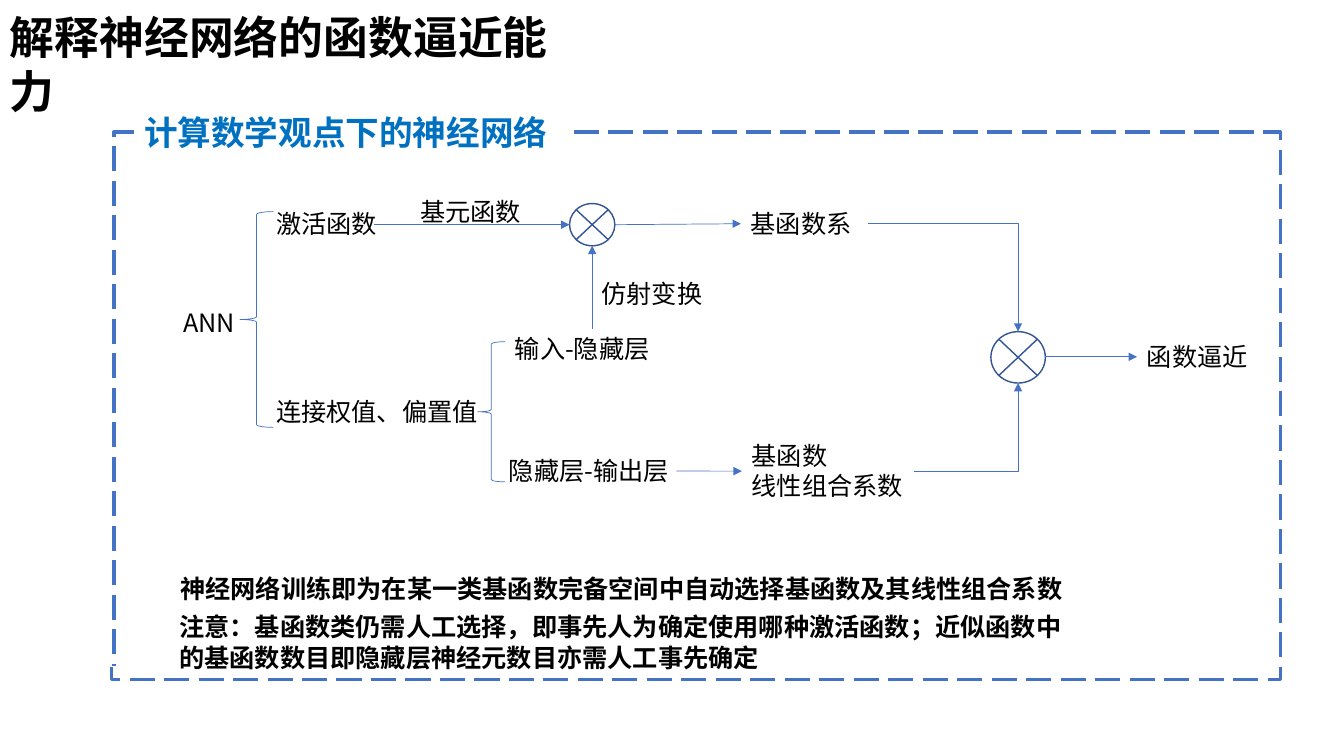
"""Build the slide on how neural networks approximate functions."""
from dataclasses import dataclass

from lxml.etree import SubElement
from pptx import Presentation
from pptx.dml.color import RGBColor
from pptx.enum.dml import MSO_LINE_DASH_STYLE as Dash
from pptx.enum.shapes import MSO_CONNECTOR as Connector
from pptx.enum.shapes import MSO_SHAPE as Preset
from pptx.enum.text import MSO_AUTO_SIZE as AutoSize
from pptx.oxml.ns import qn
from pptx.util import Pt


@dataclass(frozen=True)
class Theme:
    font: str = "Noto Sans CJK SC"
    black: RGBColor = RGBColor(0, 0, 0)
    heading: RGBColor = RGBColor(0x00, 0x70, 0xC0)
    line: RGBColor = RGBColor(0x44, 0x72, 0xC4)
    junction: RGBColor = RGBColor(0x32, 0x54, 0x91)
    title_size: int = 32
    heading_size: int = 24
    body_size: int = 18
    thin: float = 0.5
    medium: float = 1
    thick: float = 2.25


THEME = Theme()
LABEL_HEIGHT = 28.8
TWO_LINES = 51.1
FOUR_CHARACTERS = 90.7


def add_text(slide, text, left, top, width, height=LABEL_HEIGHT,
             size=THEME.body_size, color=THEME.black, bold=False):
    box = slide.shapes.add_textbox(Pt(left), Pt(top), Pt(width), Pt(height))
    frame = box.text_frame
    frame.word_wrap = True
    frame.auto_size = AutoSize.SHAPE_TO_FIT_TEXT
    frame.text = text
    for paragraph in frame.paragraphs:
        for run in paragraph.runs:
            run.font.name = THEME.font
            run.font.size = Pt(size)
            run.font.bold = bold
            run.font.color.rgb = color
            properties = run.font._element
            SubElement(properties, qn("a:ea"), typeface=THEME.font)
    return box


def style_outline(shape, color, width):
    shape.shadow.inherit = False
    shape.fill.background()
    shape.line.color.rgb = color
    shape.line.width = Pt(width)


def add_outline_shape(slide, preset, left, top, width, height, color, weight):
    shape = slide.shapes.add_shape(preset, Pt(left), Pt(top), Pt(width), Pt(height))
    style_outline(shape, color, weight)


def add_junction(slide, left, top, width, height):
    add_outline_shape(slide, Preset.FLOWCHART_SUMMING_JUNCTION, left, top,
                      width, height, THEME.junction, THEME.medium)


def add_brace(slide, left, top, width, height):
    add_outline_shape(slide, Preset.LEFT_BRACE, left, top,
                      width, height, THEME.line, THEME.thin)


def add_arrow(slide, start, end, kind=Connector.STRAIGHT):
    arrow = slide.shapes.add_connector(kind, *map(Pt, start + end))
    arrow.line.color.rgb = THEME.line
    arrow.line.width = Pt(THEME.thin)
    properties = arrow.element.spPr
    SubElement(properties.find(qn("a:ln")), qn("a:tailEnd"), type="triangle")
    SubElement(properties, qn("a:effectLst"))
    return arrow


def add_corner_arrow(slide, start, end):
    arrow = add_arrow(slide, start, end, Connector.ELBOW)
    arrow.element.spPr.find(qn("a:prstGeom")).set("prst", "bentConnector2")


def add_dashed_path(slide, points):
    first, *rest = [(Pt(x), Pt(y)) for x, y in points]
    builder = slide.shapes.build_freeform(*first)
    builder.add_line_segments(rest, close=False)
    path = builder.convert_to_shape()
    style_outline(path, THEME.line, THEME.thick)
    path.line.dash_style = Dash.LONG_DASH


def add_frame(slide):
    top, right, bottom = 94.3, 914.4, 485.3
    add_dashed_path(slide, [(95.8, top), (81.4, top), (81.4, 475.9)])
    add_dashed_path(slide, [(409.7, top), (right, top), (right, bottom),
                            (79.9, bottom), (79.9, 476.6)])
    add_text(slide, "计算数学观点下的神经网络", 95.8, 76.3, 313.9, 36,
             THEME.heading_size, THEME.heading, True)


def add_diagram(slide):
    add_text(slide, "ANN", 123.8, 216, 61.2)
    add_text(slide, "激活函数", 190.1, 145.4, FOUR_CHARACTERS)
    add_text(slide, "连接权值、偏置值", 190.1, 279.4, 166.3)
    add_text(slide, "基元函数", 293, 136.8, FOUR_CHARACTERS)
    add_text(slide, "仿射变换", 422.6, 195.1, FOUR_CHARACTERS)
    input_layer = add_text(slide, "输入-隐藏层", 360.7, 234.7, 124.6)
    add_text(slide, "隐藏层-输出层", 356.4, 321.8, 135.4)
    basis = add_text(slide, "基函数系", 529.2, 145.4, FOUR_CHARACTERS)
    weights = add_text(slide, "基函数\n线性组合系数", 529.9, 311, 122.4, TWO_LINES)
    result = add_text(slide, "函数逼近", 812.2, 240.5, FOUR_CHARACTERS)

    add_brace(slide, 171.4, 151.2, 23.8, 154.1)
    add_brace(slide, 341.3, 244.1, 19.4, 100.1)
    add_junction(slide, 406.8, 145.4, 32.4, 30.2)
    add_junction(slide, 707.8, 236.9, 38.9, 36.7)

    add_arrow(slide, (267.1, 160.5), (406.8, 160.5))
    add_arrow(slide, (423, 234.7), (423, 175.6)).begin_connect(input_layer, 0)
    add_arrow(slide, (439.2, 160.5), (529.2, 159.8)).end_connect(basis, 1)
    add_arrow(slide, (483.1, 336.5), (529.9, 336.5)).end_connect(weights, 1)
    add_arrow(slide, (746.7, 254.9), (812.2, 254.9)).end_connect(result, 1)
    add_corner_arrow(slide, (619.9, 159.8), (727.2, 236.9))
    add_corner_arrow(slide, (653, 336.5), (727.2, 273.6))


def add_notes_text(slide):
    add_text(slide, "神经网络训练即为在某一类基函数完备空间中自动选择基函数及其线性组合系数",
             121.7, 406.1, 652.3, bold=True)
    add_text(slide, "注意：基函数类仍需人工选择，即事先人为确定使用哪种激活函数；"
             "近似函数中的基函数数目即隐藏层神经元数目亦需人工事先确定",
             121, 433.4, 652.3, TWO_LINES, bold=True)


def main():
    presentation = Presentation()
    presentation.slide_width, presentation.slide_height = Pt(960), Pt(540)
    slide = presentation.slides.add_slide(presentation.slide_layouts[6])
    add_diagram(slide)
    add_frame(slide)
    add_notes_text(slide)
    add_text(slide, "解释神经网络的函数逼近能力", 0, 3.6, 430.6, 46.1,
             THEME.title_size, bold=True)
    presentation.save("out.pptx")


if __name__ == "__main__":
    main()
